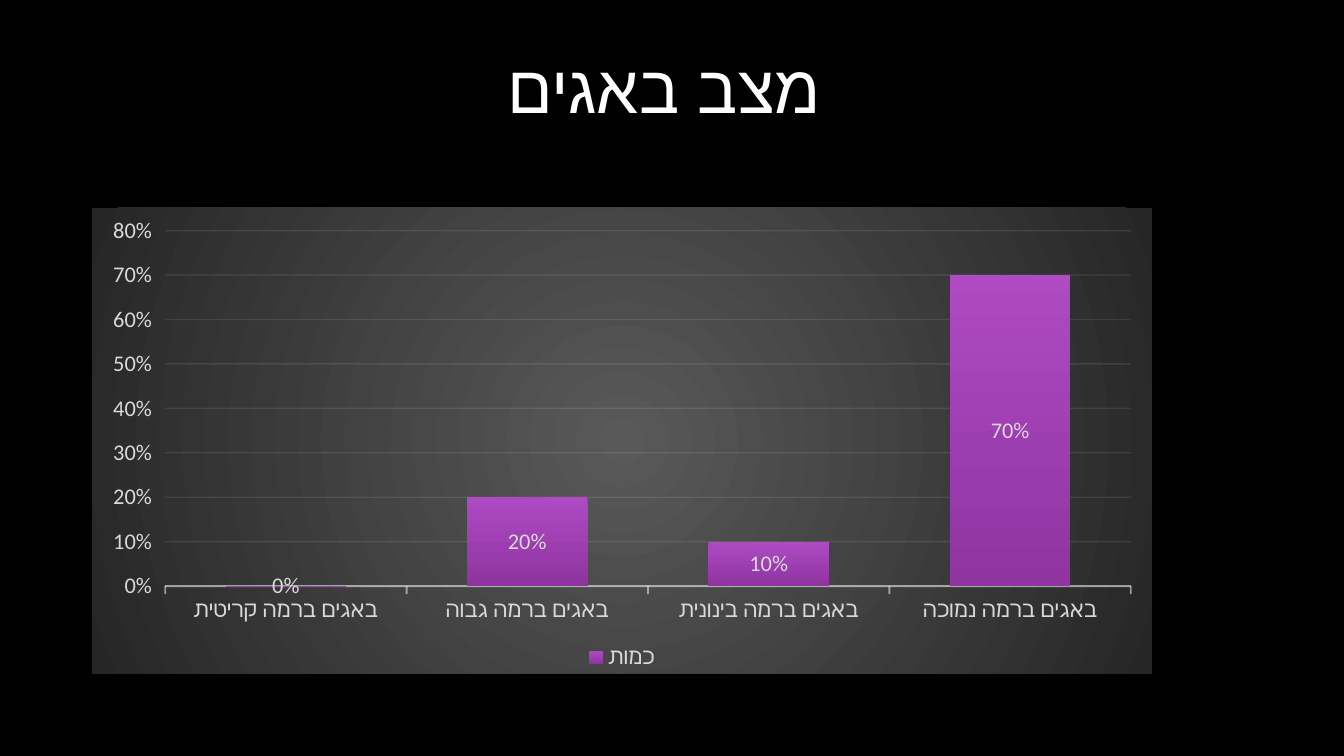
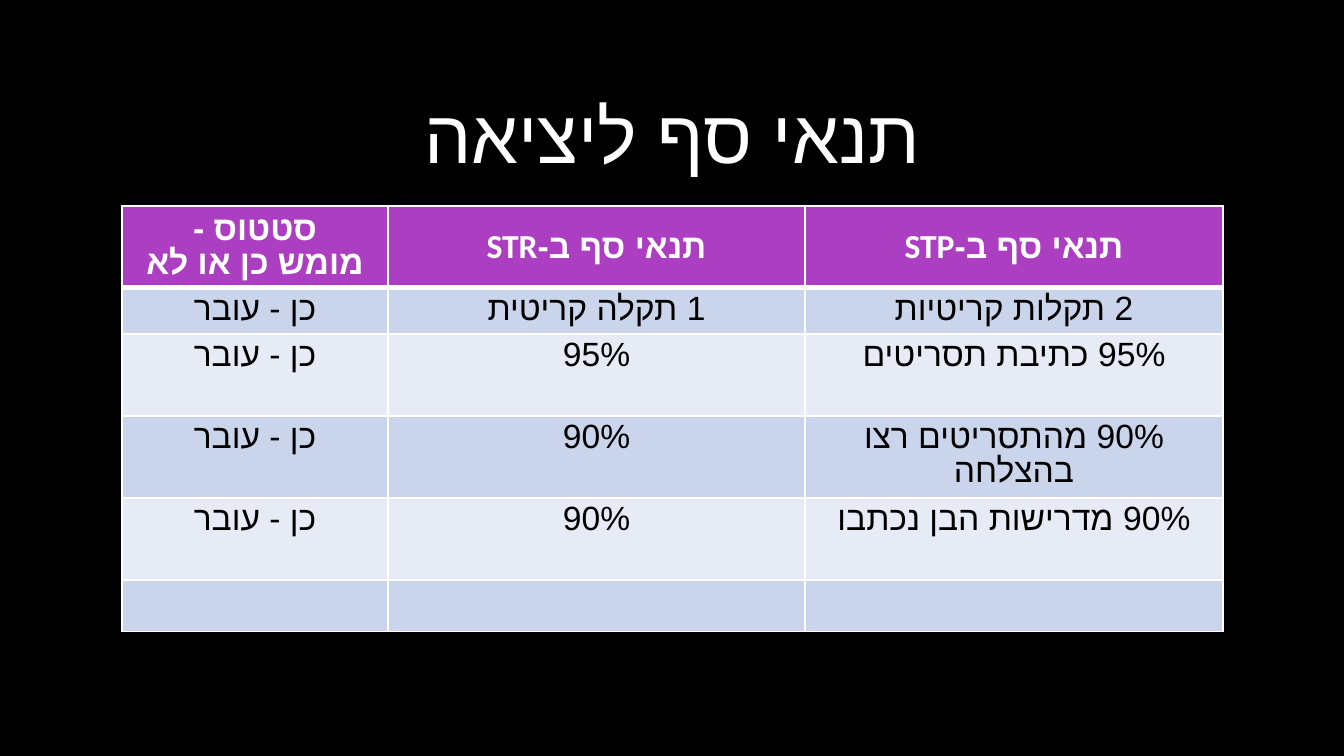
from dataclasses import dataclass

from lxml import etree
from pptx import Presentation
from pptx import util as u
from pptx.chart import data as chart_data
from pptx.dml.color import RGBColor
from pptx.enum import chart as ch
from pptx.enum import text
from pptx.oxml import ns, parse_xml

EMU_PER_PX = 914400 / 134.4


@dataclass(frozen=True)
class Theme:
    """Colours, type sizes and fonts of the deck."""
    font: str = "Calibri"
    hebrew_font: str = "Arial"
    background: str = "000000"
    light: str = "FFFFFF"
    dark: str = "000000"
    header: str = "AC3EC1"
    bands: tuple = ("CAD4EA", "E6EBF5")
    chart_text: str = "D9D9D9"
    chart_line: str = "F2F2F2"
    chart_area: tuple = ("595959", "262626")
    bar: tuple = ("AE4AC2", "8F34A1")
    chart_size: int = 12
    table_size: int = 18


THEME = Theme()

BUG_LEVELS = {
    "באגים ברמה קריטית": 0,
    "באגים ברמה גבוה": 0.2,
    "באגים ברמה בינונית": 0.1,
    "באגים ברמה נמוכה": 0.7,
}
PASSED = "כן - עובר"
EXIT_ROWS = [
    ("סטטוס -\nמומש כן או לא", "תנאי סף ב-STR", "תנאי סף ב-STP"),
    (PASSED, "1 תקלה קריטית", "2 תקלות קריטיות"),
    (PASSED, "95%", "95% כתיבת תסריטים"),
    (PASSED, "90%", "90% מהתסריטים רצו בהצלחה"),
    (PASSED, "90%", "90% מדרישות הבן נכתבו"),
    ("", "", ""),
]
COLUMN_WIDTHS = (266, 417, 418)
ROW_HEIGHTS = (82, 46, 82, 82, 82, 46)


def px(n):
    """Turn pixels into EMU."""
    return u.Emu(round(n * EMU_PER_PX))


def rgb(value):
    """Turn a hex string into a colour."""
    return RGBColor.from_string(value)


def assign(obj, **values):
    """Set several attributes of an object."""
    for name, value in values.items():
        setattr(obj, name, value)


def style_font(font, size, color, **values):
    """Format a font in the deck's typeface."""
    assign(font, name=THEME.font, size=u.Pt(size), **values)
    font.color.rgb = rgb(color)


def write_rtl(p, content, size, color, **values):
    """Write one centred right-to-left paragraph."""
    p.alignment = text.PP_ALIGN.CENTER
    p._p.get_or_add_pPr().set("rtl", "1")
    r = p.add_run()
    r.text = content
    style_font(r.font, size, color, **values)
    etree.SubElement(r._r.get_or_add_rPr(), ns.qn("a:cs"), typeface=THEME.hebrew_font)


def add_titled_slide(prs, title, box, size):
    """Add a slide with a placed title."""
    slide = prs.slides.add_slide(prs.slide_layouts[5])
    sp = slide.shapes.title
    for name, n in zip(("left", "top", "width", "height"), box):
        setattr(sp, name, px(n))
    tf = sp.text_frame
    assign(tf, margin_left=0, margin_right=0, margin_top=u.Inches(0.05), margin_bottom=0,
           word_wrap=True, auto_size=text.MSO_AUTO_SIZE.NONE,
           vertical_anchor=text.MSO_ANCHOR.BOTTOM)
    p = tf.paragraphs[0]
    write_rtl(p, title, size, THEME.light)
    p.line_spacing = 0.9
    return slide


def style_line(line, width, alpha):
    """Draw a translucent chart line."""
    line.width = u.Pt(width)
    line.color.rgb = rgb(THEME.chart_line)
    color = line._ln.find(".//" + ns.qn("a:srgbClr"))
    etree.SubElement(color, ns.qn("a:alpha"), val=str(alpha * 1000))


def fill_chart_area(chart):
    """Give the chart a radial gradient background."""
    inner, outer = THEME.chart_area
    chart.font._rPr.getparent().getparent().getparent().addprevious(parse_xml(
        f'<c:spPr {ns.nsdecls("c", "a")}><a:gradFill><a:gsLst>'
        f'<a:gs pos="0"><a:srgbClr val="{inner}"/></a:gs>'
        f'<a:gs pos="100000"><a:srgbClr val="{outer}"/></a:gs></a:gsLst>'
        '<a:path path="circle"><a:fillToRect l="50000" t="50000" r="50000" b="50000"/>'
        '</a:path></a:gradFill><a:ln><a:noFill/></a:ln></c:spPr>'))


def style_axes(chart):
    """Format both axes and the gridlines."""
    cat, val = chart.category_axis, chart.value_axis
    for axis in (cat, val):
        axis.major_tick_mark = ch.XL_TICK_MARK.OUTSIDE
        style_font(axis.tick_labels.font, THEME.chart_size, THEME.chart_text)
    style_line(cat.format.line, 1, 54)
    assign(val, minimum_scale=0, maximum_scale=0.8, major_unit=0.1, has_major_gridlines=True)
    assign(val.tick_labels, number_format="0%", number_format_is_linked=False)
    val.format.line.fill.background()
    style_line(val.major_gridlines.format.line, 0.75, 10)


def style_bars(plot):
    """Format the bars and their value labels."""
    assign(plot, gap_width=100, overlap=100, vary_by_categories=False, has_data_labels=True)
    fill = plot.series[0].format.fill
    fill.gradient()
    fill.gradient_angle = 270
    for stop, color in zip(fill.gradient_stops, THEME.bar):
        stop.color.rgb = rgb(color)
    labels = plot.data_labels
    assign(labels, show_value=True, number_format="0%", number_format_is_linked=False,
           position=ch.XL_LABEL_POSITION.CENTER)
    style_font(labels.font, THEME.chart_size, THEME.chart_text)


def add_bug_chart(slide):
    """Add the stacked column chart of bug levels."""
    data = chart_data.CategoryChartData(number_format="0%")
    data.categories = list(BUG_LEVELS)
    data.add_series("כמות", list(BUG_LEVELS.values()))
    box = [px(n) for n in (92, 208, 1060, 466)]
    chart = slide.shapes.add_chart(ch.XL_CHART_TYPE.COLUMN_STACKED, *box, data).chart
    style_font(chart.font, 10, THEME.light)
    assign(chart, has_title=False, has_legend=True)
    assign(chart.legend, position=ch.XL_LEGEND_POSITION.BOTTOM, include_in_layout=False)
    style_font(chart.legend.font, THEME.chart_size, THEME.chart_text)
    fill_chart_area(chart)
    style_axes(chart)
    style_bars(chart.plots[0])


def add_borders(cell, top, bottom):
    """Draw the four cell borders with given top and bottom widths."""
    tc_pr = cell._tc.get_or_add_tcPr()
    for i, (side, width) in enumerate(zip("LRTB", (1, 1, top, bottom))):
        tc_pr.insert(i, parse_xml(
            f'<a:ln{side} {ns.nsdecls("a")} w="{u.Pt(width)}"><a:solidFill>'
            f'<a:srgbClr val="{THEME.light}"/></a:solidFill></a:ln{side}>'))


def fill_cell(cell, content, row):
    """Fill one table cell according to its row."""
    header = row == 0
    anchor = text.MSO_ANCHOR.MIDDLE if header else text.MSO_ANCHOR.TOP
    assign(cell, vertical_anchor=anchor, margin_left=u.Inches(0.1), margin_right=u.Inches(0.1),
           margin_top=u.Inches(0.04), margin_bottom=u.Inches(0.04))
    cell.fill.solid()
    cell.fill.fore_color.rgb = rgb(THEME.header if header else THEME.bands[(row - 1) % 2])
    add_borders(cell, 3 if row == 1 else 1, 3 if header else 1)
    tf = cell.text_frame
    for i, line in enumerate(content.splitlines()):
        p = tf.add_paragraph() if i else tf.paragraphs[0]
        write_rtl(p, line, THEME.table_size, THEME.light if header else THEME.dark, bold=header)
        p.line_spacing = 0.9


def add_exit_table(slide):
    """Add the table of exit thresholds."""
    box = [px(n) for n in (122, 206, sum(COLUMN_WIDTHS), sum(ROW_HEIGHTS))]
    table = slide.shapes.add_table(len(EXIT_ROWS), len(COLUMN_WIDTHS), *box).table
    for column, width in zip(table.columns, COLUMN_WIDTHS):
        column.width = px(width)
    for i, (row, height) in enumerate(zip(table.rows, ROW_HEIGHTS)):
        row.height = px(height)
        for cell, content in zip(row.cells, EXIT_ROWS[i]):
            fill_cell(cell, content, i)


def main():
    """Build the two slides and save them."""
    prs = Presentation()
    assign(prs, slide_width=px(1344), slide_height=px(756))
    fill = prs.slide_master.background.fill
    fill.solid()
    fill.fore_color.rgb = rgb(THEME.background)
    add_bug_chart(add_titled_slide(prs, "מצב באגים", (0, 40, 1328, 88), 36))
    add_exit_table(add_titled_slide(prs, "תנאי סף ליציאה", (67, 102, 1210, 78), 40))
    prs.save("out.pptx")


main()
